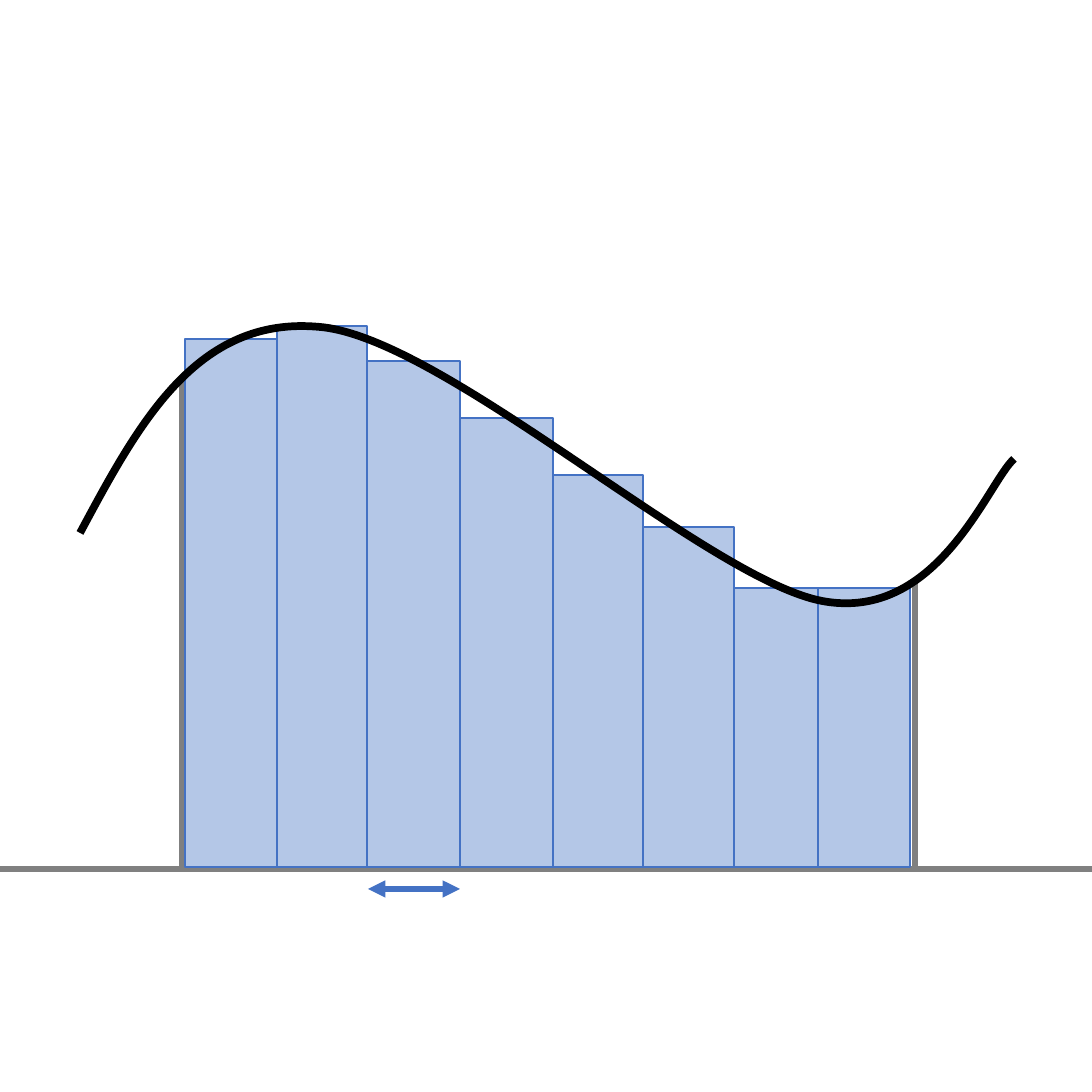
from itertools import pairwise

from pptx import Presentation
from pptx import util as u
from pptx.dml.color import RGBColor
from pptx.enum import shapes
from pptx.oxml import ns
from pptx.oxml.xmlchemy import OxmlElement

EMU_PER_PX = 914400 / 92.5
SLIDE_SIDE = 1092
COLOURS = {"axis": "808080", "bar": "B4C7E7", "accent": "4472C4", "curve": "000000"}

BASELINE = 869
BAR_BOTTOM = 867
BAR_EDGES = [185, 277, 367, 460, 553, 643, 734, 818, 910]
BAR_TOPS = [339, 326, 361, 418, 475, 527, 588, 588]
LIMITS = [(182, 380), (915, 581)]
CURVE_START = (80, 533)
CURVE_SEGMENTS = [
    [(138, 425), (196, 315), (320, 327)],
    [(444, 338), (707, 579), (822, 601)],
    [(938, 623), (988, 482), (1014, 459)],
]


def px(length):
    return u.Emu(round(length * EMU_PER_PX))


class Diagram:
    def __init__(self, slide, colours):
        self.slide = slide
        self.colours = colours

    def colour(self, name):
        return RGBColor.from_string(self.colours[name])

    def outline(self, shape, colour, points):
        shape.line.color.rgb = self.colour(colour)
        shape.line.width = u.Pt(points)

    def line(self, start, end, colour, points=4.5, arrows=False):
        connector = self.slide.shapes.add_connector(
            shapes.MSO_CONNECTOR.STRAIGHT, *map(px, start + end))
        self.outline(connector, colour, points)
        if arrows:
            stroke = connector.line._get_or_add_ln()
            for tag in ("a:headEnd", "a:tailEnd"):
                arrowhead = OxmlElement(tag)
                arrowhead.set("type", "triangle")
                stroke.append(arrowhead)
        connector.element.spPr.append(OxmlElement("a:effectLst"))

    def bar(self, left, right, top, bottom):
        shape = self.slide.shapes.add_shape(
            shapes.MSO_SHAPE.RECTANGLE,
            px(left), px(top), px(right - left), px(bottom - top))
        shape.shadow.inherit = False
        shape.fill.solid()
        shape.fill.fore_color.rgb = self.colour("bar")
        self.outline(shape, "accent", 1)

    def curve(self, start, segments, colour, points):
        """Draw cubic Bézier segments, each given as two controls and an end."""
        ends = [segment[-1] for segment in segments]
        builder = self.slide.shapes.build_freeform(*start, scale=EMU_PER_PX)
        builder.add_line_segments(ends, close=False)
        shape = builder.convert_to_shape()
        shape.shadow.inherit = False
        shape.fill.background()
        self.outline(shape, colour, points)

        left = min(x for x, y in [start, *ends])
        top = min(y for x, y in [start, *ends])
        straight_parts = list(shape.element.iter(ns.qn("a:lnTo")))
        for straight, segment in zip(straight_parts, segments):
            bezier = OxmlElement("a:cubicBezTo")
            for x, y in segment:
                point = OxmlElement("a:pt")
                point.set("x", str(x - left))
                point.set("y", str(y - top))
                bezier.append(point)
            straight.getparent().replace(straight, bezier)


def main():
    presentation = Presentation()
    presentation.slide_width = presentation.slide_height = px(SLIDE_SIDE)
    slide = presentation.slides.add_slide(presentation.slide_layouts[6])
    diagram = Diagram(slide, COLOURS)

    diagram.line((0, BASELINE), (SLIDE_SIDE, BASELINE), "axis")
    for x, top in LIMITS:
        diagram.line((x, top), (x, BASELINE), "axis")
    for (left, right), top in zip(pairwise(BAR_EDGES), BAR_TOPS):
        diagram.bar(left, right, top, BAR_BOTTOM)
    diagram.curve(CURVE_START, CURVE_SEGMENTS, "curve", 6)
    diagram.line((368, 889), (460, 889), "accent", arrows=True)

    presentation.save("out.pptx")


if __name__ == "__main__":
    main()
